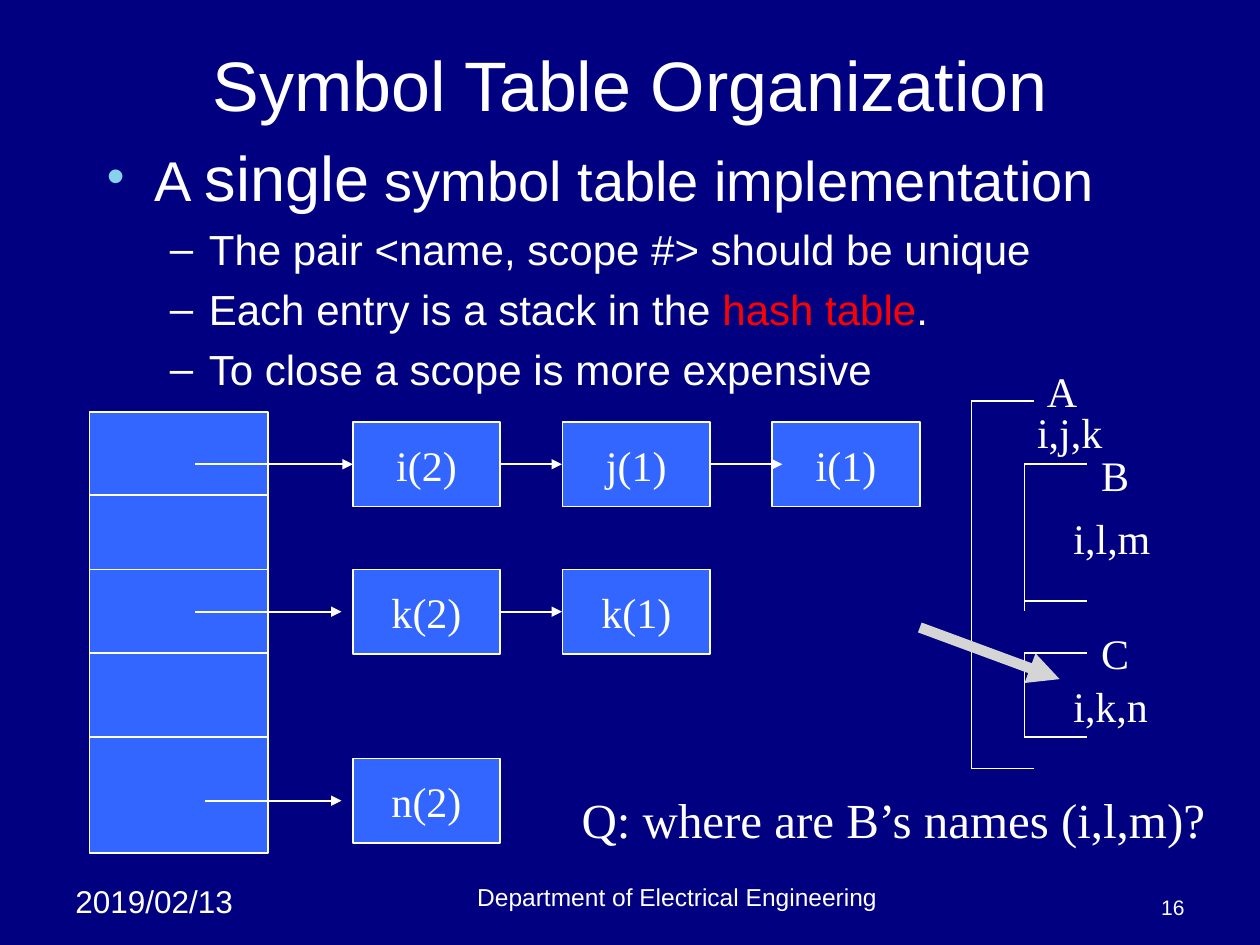
from lxml import etree
from pptx import Presentation
from pptx import util as u
from pptx.dml.color import RGBColor
from pptx.enum import shapes, text
from pptx.oxml import ns

NAVY = RGBColor(0x00, 0x00, 0x80)
WHITE = RGBColor(0xFF, 0xFF, 0xFF)
BLUE = RGBColor(0x33, 0x66, 0xFF)
RED = RGBColor(0xFF, 0x00, 0x00)
GREY = RGBColor(0xD5, 0xD5, 0xD5)
SKY = "86D1EC"
SANS, SERIF = "Arial", "Times New Roman"
LEFT, CENTER, RIGHT = text.PP_ALIGN.LEFT, text.PP_ALIGN.CENTER, text.PP_ALIGN.RIGHT
TOP, MIDDLE, BOTTOM = text.MSO_ANCHOR.TOP, text.MSO_ANCHOR.MIDDLE, text.MSO_ANCHOR.BOTTOM


class SlideBuilder:
    def __init__(self, slide):
        self.slide = slide
        background = slide.background.fill
        background.solid()
        background.fore_color.rgb = NAVY

    def format_run(self, run, size, font=SANS, color=WHITE):
        run.font.size = u.Pt(size)
        run.font.name = font
        run.font.color.rgb = color

    def fill_text(self, shape, words, size, font, align, anchor, wrap):
        frame = shape.text_frame
        frame.text = words
        frame.word_wrap = wrap
        frame.vertical_anchor = anchor
        paragraph = frame.paragraphs[0]
        paragraph.alignment = align
        self.format_run(paragraph.runs[0], size, font)

    def label(self, words, box, size, font=SANS, align=CENTER, anchor=TOP, wrap=True):
        shape = self.slide.shapes.add_textbox(*map(u.Inches, box))
        self.fill_text(shape, words, size, font, align, anchor, wrap)

    def box(self, left, top, width, height, words=None):
        shape = self.slide.shapes.add_shape(
            shapes.MSO_SHAPE.RECTANGLE, *map(u.Inches, (left, top, width, height)))
        shape.shadow.inherit = False
        shape.fill.solid()
        shape.fill.fore_color.rgb = BLUE
        shape.line.color.rgb = WHITE
        shape.line.width = u.Pt(1)
        if words:
            self.fill_text(shape, words, 24, SERIF, CENTER, MIDDLE, False)

    def line(self, x1, y1, x2, y2, arrow=False, color=WHITE, width=1):
        connector = self.slide.shapes.add_connector(
            shapes.MSO_CONNECTOR.STRAIGHT, *map(u.Inches, (x1, y1, x2, y2)))
        connector.line.color.rgb = color
        connector.line.width = u.Pt(width)
        if arrow:
            etree.SubElement(connector.line._ln, ns.qn("a:tailEnd"), type="triangle")
        etree.SubElement(connector._element.spPr, ns.qn("a:effectLst"))

    def bracket(self, left, top, foot, bottom):
        """Scope bracket: a stem down to bottom, with arms at top and foot."""
        self.line(left, top, left, bottom)
        for y in (top, foot):
            self.line(left, y, left + 0.5, y)

    def bullet(self, paragraph, symbol, margin, hanging, color=None, percent=None):
        properties = paragraph._p.get_or_add_pPr()
        properties.set("marL", str(u.Inches(margin)))
        properties.set("indent", str(-u.Inches(hanging)))
        if color:
            holder = etree.SubElement(properties, ns.qn("a:buClr"))
            etree.SubElement(holder, ns.qn("a:srgbClr"), val=color)
        if percent:
            etree.SubElement(properties, ns.qn("a:buSzPct"), val=str(percent * 1000))
        etree.SubElement(properties, ns.qn("a:buFont"), typeface=SANS)
        etree.SubElement(properties, ns.qn("a:buChar"), char=symbol)

    def outline(self, box, heading, points):
        """Heading and points are lists of (words, size, color) runs."""
        frame = self.slide.shapes.add_textbox(*map(u.Inches, box)).text_frame
        frame.word_wrap = True
        frame.margin_top = u.Inches(0.1)
        for index, pieces in enumerate([heading] + points):
            if index == 0:
                paragraph = frame.paragraphs[0]
                self.bullet(paragraph, "•", 0.38, 0.38, SKY, 90)
            else:
                paragraph = frame.add_paragraph()
                paragraph.level = 1
                self.bullet(paragraph, "–", 0.81, 0.31)
                paragraph.space_before = u.Pt(5.5)
            for words, size, color in pieces:
                run = paragraph.add_run()
                run.text = words
                self.format_run(run, size, color=color)


def draw_hash_table(builder):
    left, right = 0.71, 2.13
    builder.box(left, 3.27, right - left, 3.5)
    for y in (3.93, 4.52, 5.18, 5.85):
        builder.line(left, y, right, y)

    first, pitch, width, height = 2.8, 1.665, 1.17, 0.67
    chains = [
        (3.35, ["i(2)", "j(1)", "i(1)"], [(1.55, 2.8), (3.96, 4.46), (5.63, 6.21)]),
        (4.52, ["k(2)", "k(1)"], [(1.55, 2.71), (3.96, 4.46)]),
        (6.02, ["n(2)"], [(1.63, 2.71)]),
    ]
    for top, entries, arrows in chains:
        for column, entry in enumerate(entries):
            builder.box(first + column * pitch, top, width, height, entry)
        middle = top + height / 2
        for start, end in arrows:
            builder.line(start, middle, end, middle, arrow=True)


def draw_scopes(builder):
    builder.bracket(7.71, 3.18, 6.1, 6.1)
    builder.bracket(8.13, 3.68, 4.77, 4.85)
    builder.bracket(8.13, 5.18, 5.85, 5.85)
    scope_labels = [
        ("A", 8.21, 2.85, 0.44), ("i,j,k", 8.13, 3.18, 0.72),
        ("B", 8.64, 3.52, 0.42), ("i,l,m", 8.42, 4.02, 0.81),
        ("C", 8.64, 4.93, 0.42), ("i,k,n", 8.42, 5.35, 0.79),
    ]
    for words, left, top, width in scope_labels:
        builder.label(words, (left, top, width, 0.5), 24, SERIF, wrap=False)


def main():
    presentation = Presentation()
    presentation.slide_width = u.Inches(10)
    presentation.slide_height = u.Inches(7.5)
    builder = SlideBuilder(presentation.slides.add_slide(presentation.slide_layouts[6]))

    builder.label("2019/02/13", (0.5, 6.95, 1.58, 0.4), 18, align=LEFT)
    builder.label("16", (7.17, 7.08, 2.33, 0.27), 12, align=RIGHT, anchor=BOTTOM)
    builder.label("Symbol Table Organization", (0.75, 0.25, 8.5, 0.83), 40, anchor=MIDDLE)
    builder.label("Q: where are B’s names (i,l,m)?", (4.3, 6.22, 5.58, 0.57), 28, SERIF)
    builder.outline(
        (0.75, 1, 8.5, 5.75),
        [("A ", 32, WHITE), ("single", 36, WHITE), (" symbol table implementation", 32, WHITE)],
        [
            [("The pair <name, scope #> should be unique", 24, WHITE)],
            [("Each entry is a stack in the ", 24, WHITE), ("hash table", 24, RED),
             (".", 24, WHITE)],
            [("To close a scope is more expensive", 24, WHITE)],
        ])
    builder.label("Department of Electrical Engineering", (2, 6.95, 6.75, 0.33), 14,
                  anchor=BOTTOM)
    draw_scopes(builder)
    draw_hash_table(builder)
    builder.line(7.3, 4.98, 8.41, 5.39, arrow=True, color=GREY, width=6)
    presentation.save("out.pptx")


if __name__ == "__main__":
    main()
